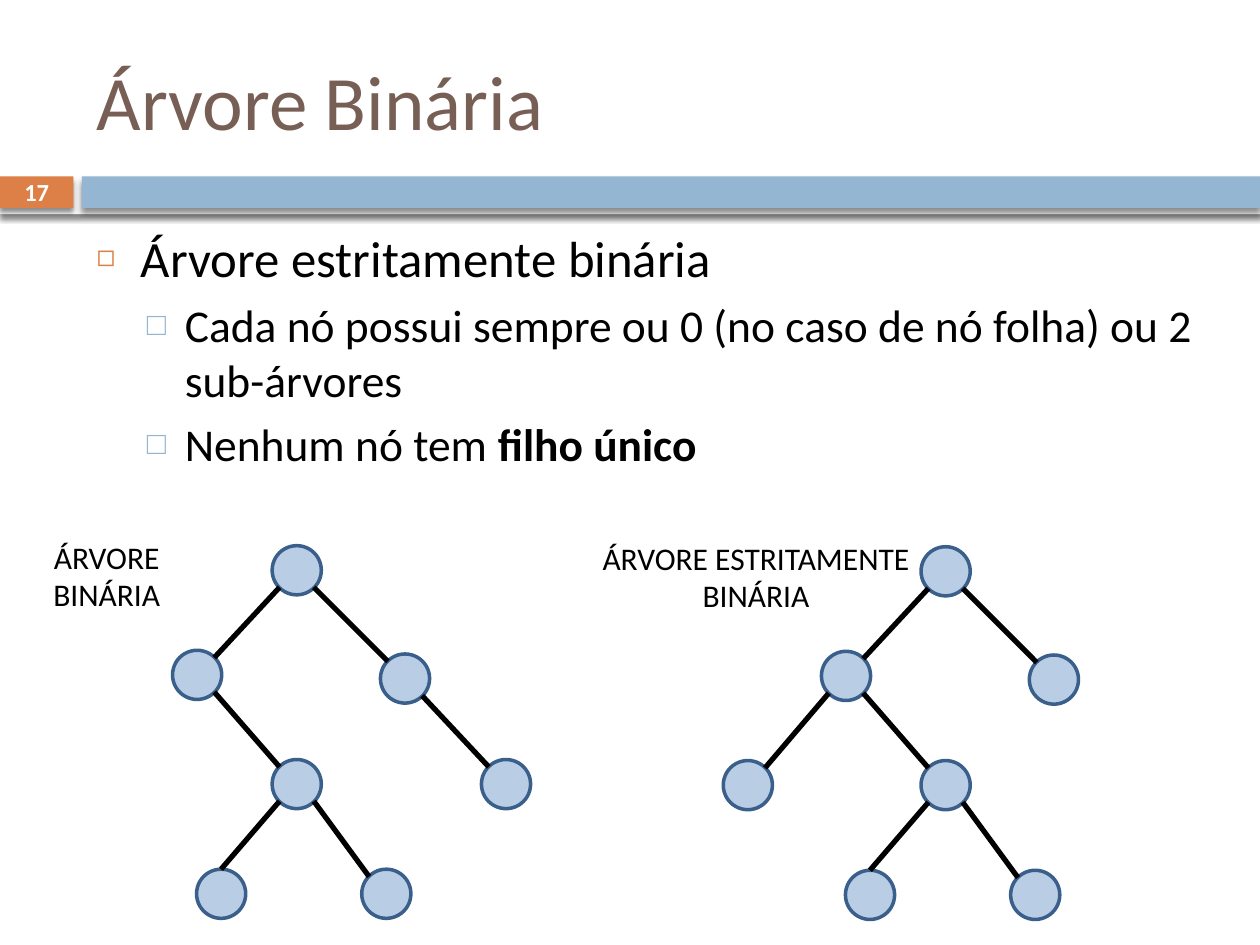
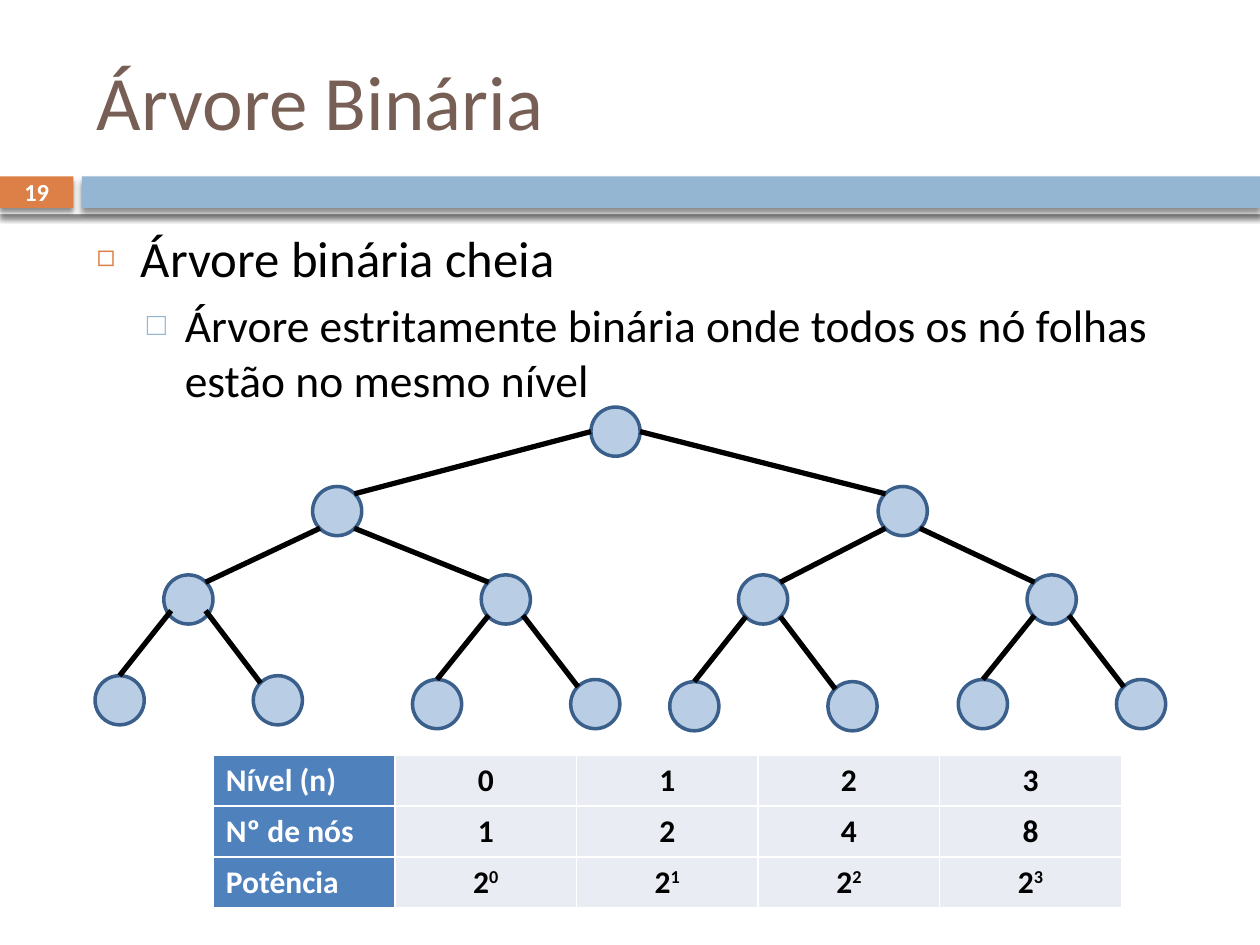
from lxml import etree
from pptx import Presentation
from pptx.dml.color import RGBColor
from pptx.enum.shapes import MSO_CONNECTOR, MSO_SHAPE
from pptx.enum.text import MSO_ANCHOR, MSO_AUTO_SIZE, PP_ALIGN
from pptx.oxml.ns import qn
from pptx.util import Pt

LINE = MSO_CONNECTOR.STRAIGHT
RECTANGLE, OVAL = MSO_SHAPE.RECTANGLE, MSO_SHAPE.OVAL
MIDDLE, FIXED = MSO_ANCHOR.MIDDLE, MSO_AUTO_SIZE.NONE
LEFT, CENTER = PP_ALIGN.LEFT, PP_ALIGN.CENTER

WHITE = RGBColor(0xFF, 0xFF, 0xFF)
BLACK = RGBColor(0x00, 0x00, 0x00)
BROWN = RGBColor(0x77, 0x5F, 0x55)
ORANGE = RGBColor(0xDD, 0x80, 0x47)
SKY = RGBColor(0x94, 0xB6, 0xD2)
NODE_FILL = RGBColor(0xB9, 0xCD, 0xE5)
NODE_EDGE = RGBColor(0x3A, 0x5F, 0x8B)
HEADER_BLUE = RGBColor(0x4F, 0x81, 0xBD)
CELL_GREY = RGBColor(0xE9, 0xEC, 0xF3)

FONT = "Calibri"
NODE = 28.08

# Points on a node's rim, as fractions of its box
RIM = {"top": (0.5, 0), "left": (0, 0.5), "right": (1, 0.5),
       "top left": (0.15, 0.15), "top right": (0.85, 0.15),
       "bottom left": (0.15, 0.85), "bottom right": (0.85, 0.85)}

# Per list level: size, space before, left margin, indent, bullet, colour, percent
LEVELS = [(29, 7, 25.2, -25.2, "◻", ORANGE, 60),
          (26, 5.5, 50.4, -21.6, "□", SKY, 70)]


def add_xml(parent, tag, **attributes):
    child = etree.SubElement(parent, qn(tag))
    for name, value in attributes.items():
        child.set(name, str(value))
    return child


def write(paragraph, text, size=18, color=BLACK, bold=False, align=None, raised=False):
    """Append one formatted run to a paragraph."""
    if align is not None:
        paragraph.alignment = align
    run = paragraph.add_run()
    run.text = text
    run.font.name, run.font.size, run.font.bold = FONT, Pt(size), bold
    run.font.color.rgb = color
    if raised:
        run._r.get_or_add_rPr().set("baseline", "30000")


def place(shape, left, top, width, height):
    shape.left, shape.top = Pt(left), Pt(top)
    shape.width, shape.height = Pt(width), Pt(height)


class Deck:
    """Holds the shared style and the current slide."""

    def __init__(self):
        self.presentation = Presentation()
        self.presentation.slide_width = Pt(720)
        self.presentation.slide_height = Pt(540)
        self.layout = self.presentation.slide_layouts[1]
        title, body = list(self.layout.placeholders)[:2]
        place(title, 48, 18, 642, 78)
        place(body, 48, 126, 642, 354)
        self.slide = None

    def start(self, title, number, items):
        self.slide = self.presentation.slides.add_slide(self.layout)
        self.band(0, 97.2, 720, 25.2, WHITE)
        self.band(0, 100.8, 42, 18, ORANGE)
        self.band(46.8, 100.8, 673.2, 18, SKY)
        heading = self.slide.shapes.title.text_frame
        heading.auto_size, heading.vertical_anchor = FIXED, MIDDLE
        write(heading.paragraphs[0], title, size=44, color=BROWN, align=LEFT)
        self.bullets(items)
        self.label([str(number)], 0, 100, 42, 19.6, size=14, color=WHITE, bold=True)

    def band(self, left, top, width, height, color):
        band = self.slide.shapes.add_shape(
            RECTANGLE, Pt(left), Pt(top), Pt(width), Pt(height))
        band.fill.solid()
        band.fill.fore_color.rgb = color
        band.line.fill.background()
        band.shadow.inherit = False
        effects = band.element.spPr.find(qn("a:effectLst"))
        shadow = add_xml(effects, "a:outerShdw", blurRad=Pt(3), dist=Pt(2.4),
                         dir=5400000, algn="t", rotWithShape=0)
        add_xml(add_xml(shadow, "a:srgbClr", val=BLACK), "a:alpha", val=45000)

    def bullets(self, items):
        frame = self.slide.placeholders[1].text_frame
        frame.auto_size = FIXED
        for index, (level, *runs) in enumerate(items):
            size, before, margin, indent, mark, color, percent = LEVELS[level]
            paragraph = frame.add_paragraph() if index else frame.paragraphs[0]
            paragraph.level = level
            paragraph.space_before = Pt(before if index else 0)
            properties = paragraph._p.get_or_add_pPr()
            properties.set("marL", str(Pt(margin)))
            properties.set("indent", str(Pt(indent)))
            add_xml(add_xml(properties, "a:buClr"), "a:srgbClr", val=color)
            add_xml(properties, "a:buSzPct", val=percent * 1000)
            add_xml(properties, "a:buChar", char=mark)
            for position, text in enumerate(runs):
                write(paragraph, text, size=size, bold=position == 1)

    def label(self, lines, left, top, width, height, **style):
        frame = self.slide.shapes.add_textbox(
            Pt(left), Pt(top), Pt(width), Pt(height)).text_frame
        frame.word_wrap, frame.vertical_anchor = True, MIDDLE
        for index, text in enumerate(lines):
            paragraph = frame.add_paragraph() if index else frame.paragraphs[0]
            write(paragraph, text, align=CENTER, **style)

    def node(self, left, top):
        node = self.slide.shapes.add_shape(
            OVAL, Pt(left), Pt(top), Pt(NODE), Pt(NODE))
        node.fill.solid()
        node.fill.fore_color.rgb = NODE_FILL
        node.line.color.rgb, node.line.width = NODE_EDGE, Pt(2)
        node.shadow.inherit = False

    def edge(self, parent, child, leave, arrive, lift=0):
        (x1, y1), (x2, y2) = [
            (left + NODE * RIM[side][0], top + NODE * RIM[side][1])
            for (left, top), side in ((parent, leave), (child, arrive))]
        edge = self.slide.shapes.add_connector(
            LINE, Pt(x1), Pt(y1 - lift), Pt(x2), Pt(y2))
        edge.line.color.rgb, edge.line.width = BLACK, Pt(3)
        add_xml(edge.element.spPr, "a:effectLst")

    def tree(self, nodes, edges):
        """Draw nodes by name, then (parent, child, leave, arrive[, lift]) edges."""
        for position in nodes.values():
            self.node(*position)
        for parent, child, *sides in edges:
            self.edge(nodes[parent], nodes[child], *sides)

    def table(self, rows, left, top, column_width, row_height):
        columns = len(rows[0])
        table = self.slide.shapes.add_table(
            len(rows), columns, Pt(left), Pt(top),
            Pt(column_width * columns), Pt(row_height * len(rows))).table
        table.first_row = table.horz_banding = False
        for r, row in enumerate(rows):
            table.rows[r].height = Pt(row_height)
            for c, text in enumerate(row):
                table.columns[c].width = Pt(column_width)
                self.cell(table.cell(r, c), text, is_header=c == 0)

    def cell(self, cell, text, is_header):
        properties = cell._tc.get_or_add_tcPr()
        for side in ("a:lnL", "a:lnR", "a:lnT", "a:lnB"):
            border = add_xml(properties, side, w=Pt(0.96))
            add_xml(add_xml(border, "a:solidFill"), "a:srgbClr", val=WHITE)
        cell.fill.solid()
        cell.fill.fore_color.rgb = HEADER_BLUE if is_header else CELL_GREY
        base, _, exponent = text.partition("^")
        style = {"color": WHITE if is_header else BLACK, "bold": True,
                 "align": LEFT if is_header else CENTER}
        paragraph = cell.text_frame.paragraphs[0]
        write(paragraph, base, **style)
        if exponent:
            write(paragraph, exponent, raised=True, **style)


DOWN_LEFT = ("bottom left", "top right")
DOWN_RIGHT = ("bottom right", "top left")
TO_LEAF = ("bottom left", "top")


def strictly_binary_slide(deck):
    deck.start("Árvore Binária", 17, [
        (0, "Árvore estritamente binária"),
        (1, "Cada nó possui sempre ou 0 (no caso de nó folha) ou 2 sub-árvores"),
        (1, "Nenhum nó tem ", "filho único")])

    # Both trees share six nodes and differ in one extra leaf
    offsets = {"root": (0, 0), "left": (-56.9, 59.8), "right": (61.9, 61.9),
               "inner": (0, 122.2), "inner left": (-43.2, 184.9),
               "inner right": (51.2, 184.9)}
    edges = [("root", "left", *DOWN_LEFT), ("root", "right", *DOWN_RIGHT),
             ("left", "inner", *DOWN_RIGHT), ("inner", "inner left", *TO_LEAF),
             ("inner", "inner right", *DOWN_RIGHT)]
    trees = [(155.5, 311.8, (119.6, 122.2), ("right", "extra", *DOWN_RIGHT)),
             (526.3, 312.4, (-113, 122.2), ("left", "extra", *DOWN_LEFT))]
    for root_left, root_top, extra, extra_edge in trees:
        nodes = {name: (root_left + dx, root_top + dy)
                 for name, (dx, dy) in {**offsets, "extra": extra}.items()}
        deck.tree(nodes, edges + [extra_edge])

    deck.label(["ÁRVORE", "BINÁRIA"], 7, 303.3, 108, 51)
    deck.label(["ÁRVORE ESTRITAMENTE", "BINÁRIA"], 328.3, 303.9, 207.4, 51)


def full_tree_slide(deck):
    deck.start("Árvore Binária", 19, [
        (0, "Árvore binária cheia"),
        (1, "Árvore estritamente binária onde todos os nó folhas "
            "estão no mesmo nível")])

    # Upper levels
    nodes = {"root": (337.7, 232.6), "L": (178.6, 278), "R": (501.8, 278),
             "LL": (93.6, 328.5), "LR": (275, 328.5),
             "RL": (422, 328.5), "RR": (586.9, 328.5)}
    edges = [("root", "L", "left", "top right"), ("root", "R", "right", "top left")]
    for side in "LR":
        edges += [(side, side + "L", *DOWN_LEFT), (side, side + "R", *DOWN_RIGHT)]

    # Leaves: drop below the parent, and how far the edges start above its rim
    for parent, drop, lift in (("LL", 57.6, 3.4), ("LR", 59.8, 0.7),
                               ("RL", 61, 0), ("RR", 59.8, 0.7)):
        left, top = nodes[parent]
        nodes[parent + "L"] = (left - 39.3, top + drop)
        nodes[parent + "R"] = (left + 51.1, top + drop)
        edges += [(parent, parent + "L", *TO_LEAF, lift),
                  (parent, parent + "R", *DOWN_RIGHT, lift)]
    deck.tree(nodes, edges)

    levels = range(4)
    deck.table([["Nível (n)"] + [str(n) for n in levels],
                ["Nº de nós"] + [str(2 ** n) for n in levels],
                ["Potência"] + [f"2^{n}" for n in levels]],
               121.9, 431.3, 103.8, 29.2)


def main():
    deck = Deck()
    strictly_binary_slide(deck)
    full_tree_slide(deck)
    deck.presentation.save("out.pptx")


if __name__ == "__main__":
    main()
